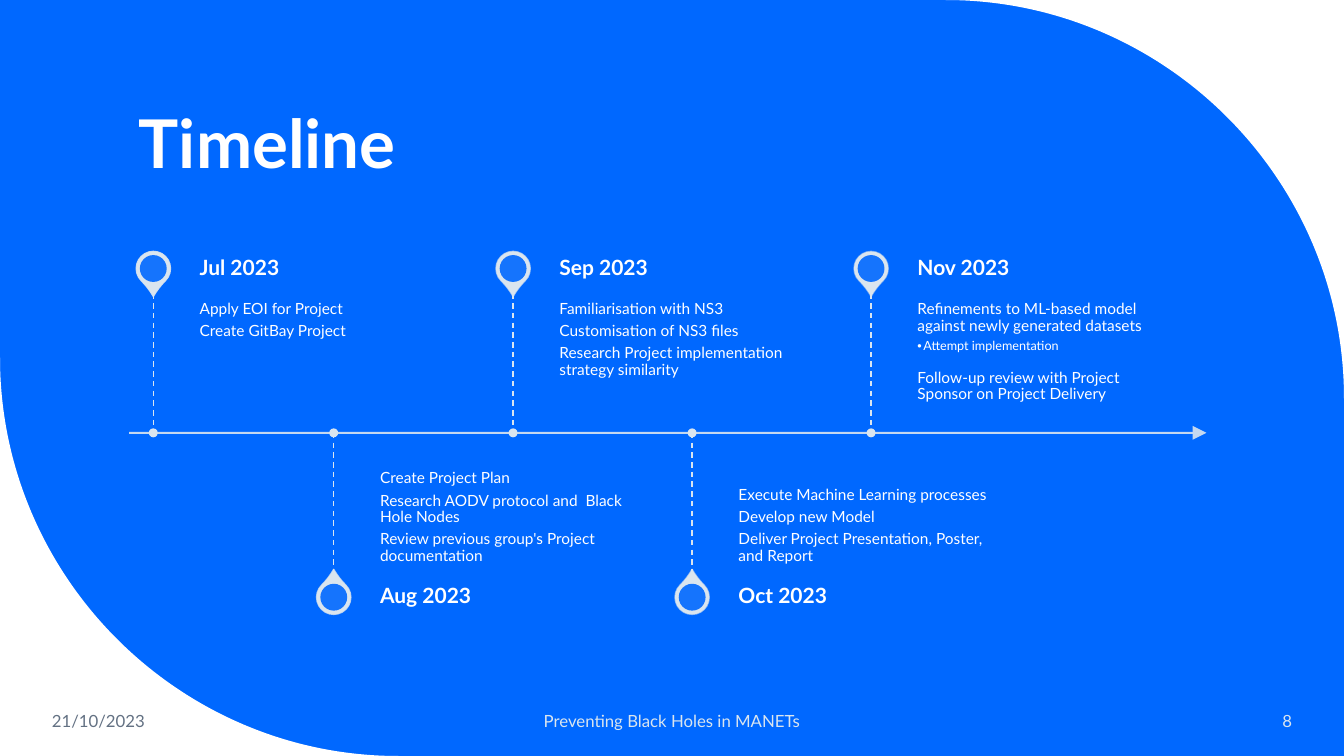
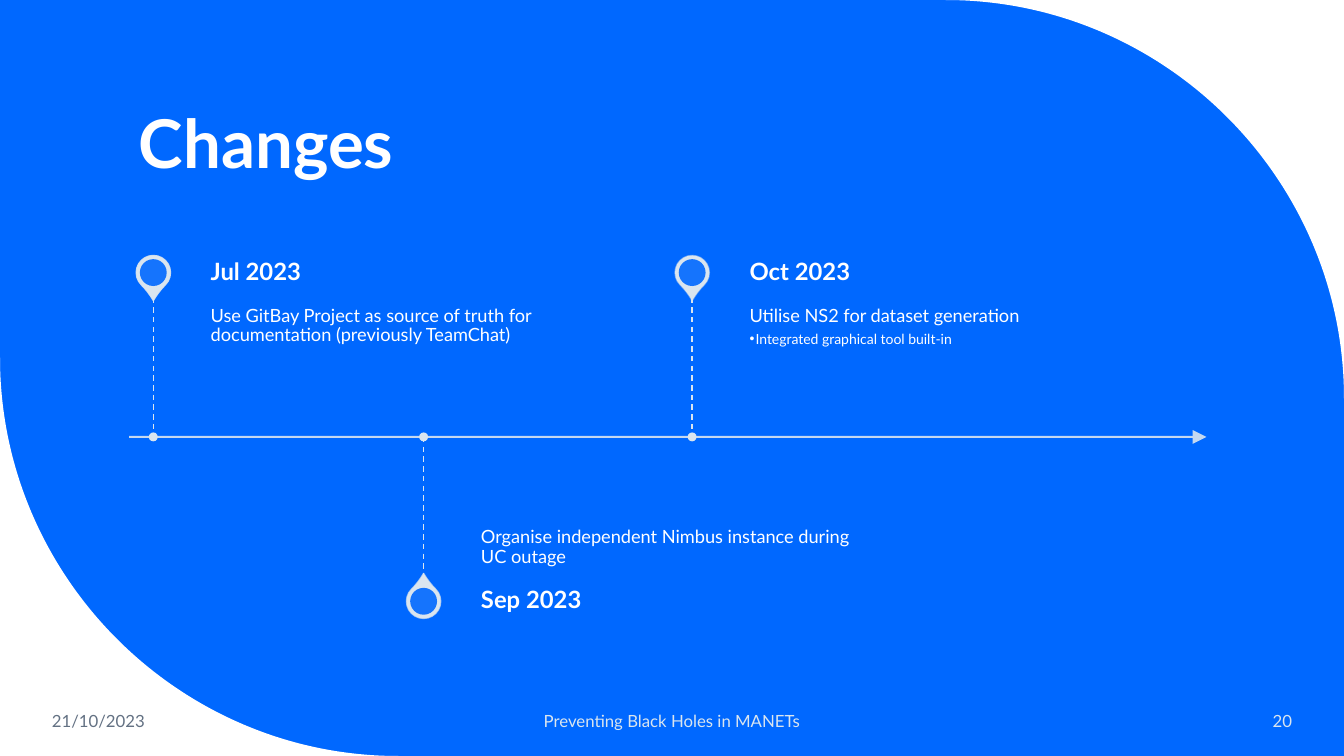
from lxml.etree import SubElement
from pptx import Presentation
from pptx.dml.color import RGBColor
from pptx.enum.dml import MSO_LINE
from pptx.enum.shapes import MSO_CONNECTOR, MSO_SHAPE
from pptx.enum.text import MSO_ANCHOR, PP_ALIGN
from pptx.oxml.ns import qn
from pptx.util import Pt

COLORS = {"blue": "0068FF", "white": "FFFFFF", "pale": "DAE5EF", "gray": "637183"}
FONT = "Lato"
SLIDE_W, SLIDE_H = 960, 540
CORNER_RADIUS = 284.5
CURVE_PULL = 0.55
AXIS_LEFT, AXIS_WIDTH = 92.2, 769.6
STEM, HEADING_H = 99.6, 35.3
PIN_SIZE, HOLE_SIZE, DOT_SIZE = 24.5, 19.2, 6.4
PIN_DISTANCE = 117.4
DEFAULT_INSETS = (7.2, 3.6, 7.2, 3.6)

TIMELINE = {
    "axis_y": 309.2, "text_gap": 33.1, "text_width": 182.4,
    "heading_size": 15, "body_size": 11, "bullet_size": 9,
    "near_inset": 5.5, "far_inset": 7.9, "fade": 10,
    "stops": [
        (17.3, "Jul 2023", ["Apply EOI for Project", "Create GitBay Project"]),
        (146.2, "Aug 2023", ["Create Project Plan",
                             "Research AODV protocol and  Black Hole Nodes",
                             "Review previous group's Project documentation"]),
        (274.3, "Sep 2023", ["Familiarisation with NS3", "Customisation of NS3 files",
                             "Research Project implementation strategy similarity"]),
        (402.2, "Oct 2023", ["Execute Machine Learning processes", "Develop new Model",
                             "Deliver Project Presentation, Poster, and Report"]),
        (530, "Nov 2023", ["Refinements to ML-based model against newly generated datasets",
                           ("Attempt implementation",),
                           "Follow-up review with Project Sponsor on Project Delivery"]),
    ],
}
CHANGES = {
    "axis_y": 312.1, "text_gap": 41, "text_width": 273.5,
    "heading_size": 17, "body_size": 13, "bullet_size": 10,
    "near_inset": 6.3, "far_inset": 10, "fade": 20,
    "stops": [
        (17.3, "Jul 2023", ["Use GitBay Project as source of truth for documentation "
                            "(previously TeamChat)"]),
        (210.4, "Sep 2023", ["Organise independent Nimbus instance during UC outage"]),
        (402.2, "Oct 2023", ["Utilise NS2 for dataset generation",
                             ("Integrated graphical tool built-in",)]),
    ],
}


def rgb(name):
    return RGBColor.from_string(COLORS[name])


def set_alpha(holder, percent):
    color = holder.find(f"{qn('a:solidFill')}/{qn('a:srgbClr')}")
    SubElement(color, qn("a:alpha")).set("val", str(percent * 1000))


def add_textbox(slide, left, top, width, height, anchor=MSO_ANCHOR.MIDDLE,
                insets=DEFAULT_INSETS):
    frame = slide.shapes.add_textbox(Pt(left), Pt(top), Pt(width), Pt(height)).text_frame
    frame.word_wrap = True
    frame.vertical_anchor = anchor
    frame.margin_left, frame.margin_top, frame.margin_right, frame.margin_bottom = map(Pt, insets)
    return frame


def add_run(paragraph, text, size, color="white", bold=False):
    run = paragraph.add_run()
    run.text = text
    run.font.name = FONT
    run.font.size = Pt(size)
    run.font.bold = bold
    run.font.color.rgb = rgb(color)


def add_solid(slide, preset, center_x, center_y, size, color):
    solid = slide.shapes.add_shape(preset, Pt(center_x - size / 2), Pt(center_y - size / 2),
                                   Pt(size), Pt(size))
    solid.shadow.inherit = False
    solid.fill.solid()
    solid.fill.fore_color.rgb = rgb(color)
    solid.line.fill.background()
    return solid


def add_line(slide, x1, y1, x2, y2, width):
    line = slide.shapes.add_connector(MSO_CONNECTOR.STRAIGHT, Pt(x1), Pt(y1), Pt(x2), Pt(y2))
    line.line.width = Pt(width)
    line.line.color.rgb = rgb("pale")
    SubElement(line.element.spPr, qn("a:effectLst"))
    return line


def add_corner(slide, layout, left, top, corner, start, end):
    def at(point):
        return Pt(left + point[0] * CORNER_RADIUS), Pt(top + point[1] * CORNER_RADIUS)

    builder = slide.shapes.build_freeform(*at(corner))
    builder.add_line_segments([at(start), at(end)], close=True)
    wedge = builder.convert_to_shape()
    wedge.shadow.inherit = False
    wedge.fill.solid()
    wedge.fill.fore_color.rgb = rgb("white")
    wedge.line.fill.background()

    opposite = (1 - corner[0], 1 - corner[1])
    bend = (start[0] + end[0] - opposite[0], start[1] + end[1] - opposite[1])
    segment = list(wedge.element.iter(qn("a:lnTo")))[1]
    curve = segment.makeelement(qn("a:cubicBezTo"))
    pulled = [[near + (far - near) * CURVE_PULL for near, far in zip(edge, bend)]
              for edge in (start, end)]
    for x, y in (*pulled, end):
        point = SubElement(curve, qn("a:pt"))
        point.set("x", str(Pt(x * CORNER_RADIUS)))
        point.set("y", str(Pt(y * CORNER_RADIUS)))
    segment.getparent().replace(segment, curve)
    layout.shapes._spTree.append(wedge.element)


def add_shared_background(deck, slide, layout):
    background = deck.slide_master.background.fill
    background.solid()
    background.fore_color.rgb = rgb("blue")
    add_corner(slide, layout, SLIDE_W - CORNER_RADIUS, 0, (1, 0), (0, 0), (1, 1))
    add_corner(slide, layout, 0, SLIDE_H - CORNER_RADIUS, (0, 1), (1, 1), (0, 0))


def add_frame(slide, title, number):
    heading = add_textbox(slide, AXIS_LEFT, 0, AXIS_WIDTH, 134.6, MSO_ANCHOR.BOTTOM).paragraphs[0]
    heading.line_spacing = 0.9
    add_run(heading, title, 48, bold=True)
    footers = [
        (30, 134, "21/10/2023", "gray", PP_ALIGN.LEFT),
        (318, 324, "Preventing Black Holes in MANETs", "pale", PP_ALIGN.CENTER),
        (799.5, 130.5, str(number), "pale", PP_ALIGN.RIGHT),
    ]
    for left, width, text, color, align in footers:
        footer = add_textbox(slide, left, 500.5, width, 28.8).paragraphs[0]
        footer.alignment = align
        add_run(footer, text, 12, color)


def add_entries(frame, entries, plan):
    after_bullet = False
    for index, entry in enumerate(entries):
        paragraph = frame.paragraphs[0] if index == 0 else frame.add_paragraph()
        is_bullet = isinstance(entry, tuple)
        size = plan["bullet_size"] if is_bullet else plan["body_size"]
        if is_bullet:
            paragraph.level = 1
            properties = paragraph._p.get_or_add_pPr()
            properties.set("marL", str(Pt(4.3)))
            properties.set("indent", str(-Pt(4.3)))
            SubElement(properties, qn("a:buFont")).set("typeface", "Arial")
            SubElement(properties, qn("a:buChar")).set("char", "•")
        elif after_bullet:
            paragraph.space_before = Pt(10.5)
        paragraph.line_spacing = 0.9
        paragraph.space_after = Pt(round(size * (0.15 if is_bullet else 0.35), 2))
        add_run(paragraph, entry[0] if is_bullet else entry, size)
        after_bullet = is_bullet


def add_stop(slide, x, axis_y, above, opacity, month, entries, plan):
    side = -1 if above else 1
    pin_y = axis_y + side * PIN_DISTANCE
    pin = add_solid(slide, MSO_SHAPE.TEAR, x, pin_y, PIN_SIZE, "pale")
    pin.adjustments[0] = 1.15
    pin.rotation = 135 if above else 315
    pin.line.color.rgb = rgb("pale")
    pin.line.width = Pt(1)
    set_alpha(pin.line._get_or_add_ln(), opacity)
    hole = add_solid(slide, MSO_SHAPE.OVAL, x, pin_y, HOLE_SIZE, "blue")
    set_alpha(hole.element.spPr, 90)

    near, far = plan["near_inset"], plan["far_inset"]
    text_left, text_width = x + plan["text_gap"], plan["text_width"]
    body_top = axis_y - STEM if above else axis_y
    body = add_textbox(slide, text_left, body_top, text_width, STEM,
                       MSO_ANCHOR.TOP if above else MSO_ANCHOR.BOTTOM,
                       (0, near, near, far) if above else (0, far, 0, near))
    add_entries(body, entries, plan)
    heading_top = axis_y - STEM - HEADING_H if above else axis_y + STEM
    heading = add_textbox(slide, text_left, heading_top, text_width, HEADING_H,
                          insets=(0, 0, 7.2, 0)).paragraphs[0]
    heading.line_spacing = 0.9
    heading.space_after = Pt(round(plan["heading_size"] * 0.35, 2))
    add_run(heading, month, plan["heading_size"], bold=True)

    stem = add_line(slide, x, body_top, x, body_top + STEM, 1)
    stem.line.dash_style = MSO_LINE.DASH
    add_solid(slide, MSO_SHAPE.OVAL, x, axis_y, DOT_SIZE, "pale")


def add_timeline(slide, left, axis_y, width, plan):
    axis = add_line(slide, left, axis_y, left + width, axis_y, 1.5)
    outline = axis.line._get_or_add_ln()
    set_alpha(outline, 90)
    arrowhead = SubElement(outline, qn("a:tailEnd"))
    for key, value in (("type", "triangle"), ("w", "lg"), ("len", "lg")):
        arrowhead.set(key, value)
    for index, (offset, month, entries) in enumerate(plan["stops"]):
        add_stop(slide, left + offset, axis_y, index % 2 == 0,
                 90 - index * plan["fade"], month, entries, plan)


def build_slide(slide, title, number, plan):
    add_frame(slide, title, number)
    add_timeline(slide, AXIS_LEFT, plan["axis_y"], AXIS_WIDTH, plan)


def main():
    deck = Presentation()
    deck.slide_width, deck.slide_height = Pt(SLIDE_W), Pt(SLIDE_H)
    blank = deck.slide_layouts[6]
    timeline, changes = (deck.slides.add_slide(blank) for _ in range(2))
    add_shared_background(deck, timeline, blank)
    build_slide(timeline, "Timeline", 8, TIMELINE)
    build_slide(changes, "Changes", 20, CHANGES)
    deck.save("out.pptx")


if __name__ == "__main__":
    main()
